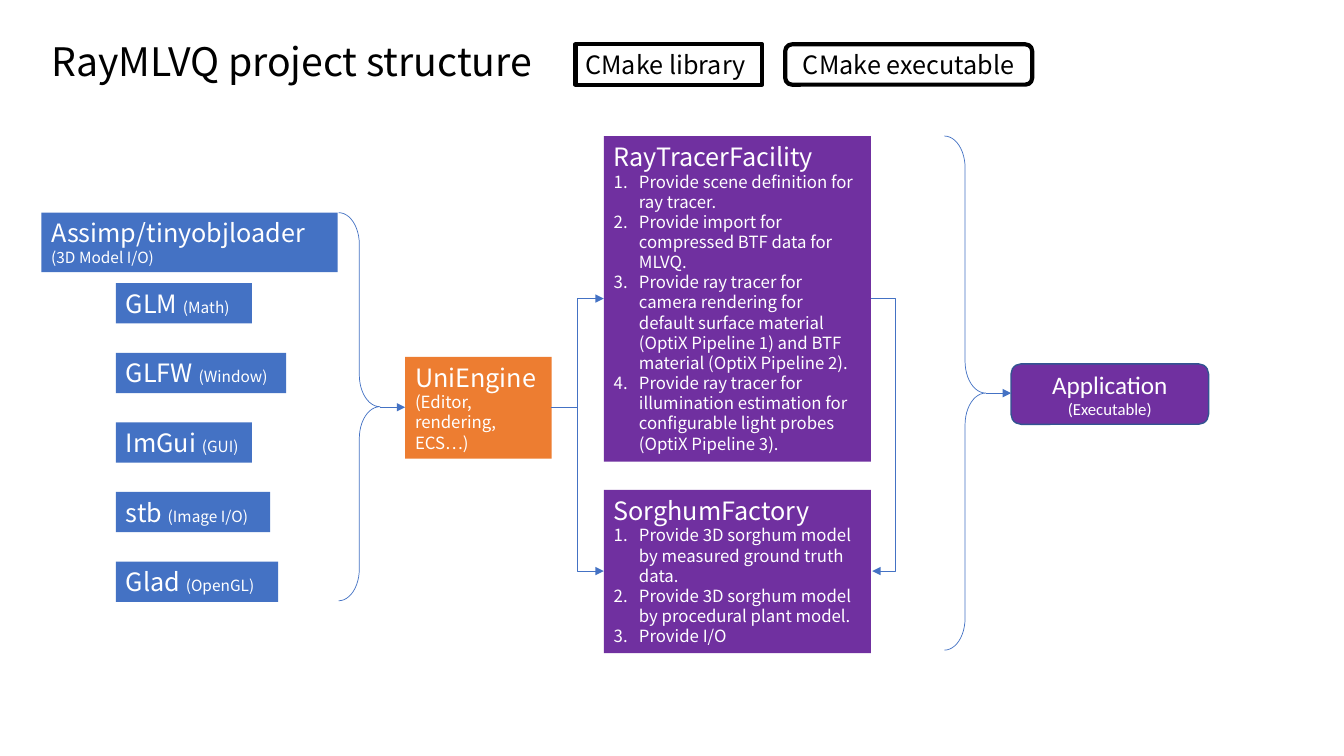
import dataclasses

import pptx
import pptx.dml.color
import pptx.enum.shapes
import pptx.enum.text
import pptx.oxml.ns
import pptx.util
from lxml import etree

Pt = pptx.util.Pt
SHAPE = pptx.enum.shapes.MSO_SHAPE
CONNECTOR = pptx.enum.shapes.MSO_CONNECTOR
ANCHOR = pptx.enum.text.MSO_ANCHOR
ALIGN = pptx.enum.text.PP_ALIGN
qn = pptx.oxml.ns.qn


@dataclasses.dataclass(frozen=True)
class Theme:
    """Fonts, colours, type sizes and line widths of the slide."""
    font: str = "Noto Sans CJK TC"
    application_font: str = "Calibri"
    blue: str = "4472C4"
    orange: str = "ED7D31"
    purple: str = "7030A0"
    edge: str = "325491"
    black: str = "000000"
    white: str = "FFFFFF"
    title: float = 28
    name: float = 18
    detail: float = 12
    note: float = 11
    thin: float = 0.5
    medium: float = 1
    thick: float = 3
    leading: float = 1.2
    indent: float = 18


def rgb(colour):
    """Turn a hex string into a colour."""
    return pptx.dml.color.RGBColor.from_string(colour)


class Diagram:
    """Draws styled elements on one slide; all lengths are in points."""

    def __init__(self, slide, theme):
        """Keep the slide and the theme."""
        self.slide = slide
        self.theme = theme

    def fill_text(self, frame, paragraphs, colour, font=None, align=ALIGN.LEFT,
                  anchor=ANCHOR.TOP, numbered=False):
        """Fill a frame with paragraphs, each a list of (text, size) runs."""
        frame.word_wrap = True
        frame.vertical_anchor = anchor
        frame.margin_left = frame.margin_right = Pt(7.2)
        frame.margin_top = frame.margin_bottom = Pt(3.6)
        for index, runs in enumerate(paragraphs):
            paragraph = frame.paragraphs[0] if index == 0 else frame.add_paragraph()
            paragraph.alignment = align
            paragraph.space_before = Pt(0)
            if font is None:
                largest = max(size for _, size in runs)
                paragraph.line_spacing = Pt(largest * self.theme.leading)
            for text, size in runs:
                run = paragraph.add_run()
                run.text = text
                run.font.size = Pt(size)
                run.font.name = font or self.theme.font
                run.font.color.rgb = rgb(colour)
            if numbered and index > 0:
                self.number(paragraph)

    def number(self, paragraph):
        """Give a paragraph a hanging automatic number."""
        properties = paragraph._p.get_or_add_pPr()
        properties.set("marL", str(Pt(self.theme.indent)))
        properties.set("indent", str(-Pt(self.theme.indent)))
        etree.SubElement(properties, qn("a:buAutoNum"), type="arabicPeriod")

    def title(self, text, left, top, width, height):
        """Place and format the title placeholder."""
        shape = self.slide.shapes.title
        shape.left, shape.top, shape.width, shape.height = map(
            Pt, (left, top, width, height))
        self.fill_text(shape.text_frame, [[(text, self.theme.title)]], self.theme.black)
        shape.text_frame.word_wrap = False
        shape.text_frame.auto_size = pptx.enum.text.MSO_AUTO_SIZE.NONE

    def box(self, bounds, fill, paragraphs, kind=SHAPE.RECTANGLE, line=None,
            line_width=1, colour=None, **text_style):
        """Draw a filled box with text."""
        shape = self.slide.shapes.add_shape(kind, *map(Pt, bounds))
        shape.shadow.inherit = False
        shape.fill.solid()
        shape.fill.fore_color.rgb = rgb(fill)
        if line:
            shape.line.color.rgb = rgb(line)
            shape.line.width = Pt(line_width)
        else:
            shape.line.fill.background()
        self.fill_text(shape.text_frame, paragraphs, colour or self.theme.white, **text_style)

    def facility(self, bounds, name, duties):
        """Draw a purple box with a name and a numbered list of duties."""
        paragraphs = [[(name, self.theme.name)]]
        paragraphs += [[(duty, self.theme.detail)] for duty in duties]
        self.box(bounds, self.theme.purple, paragraphs, numbered=True)

    def brace(self, left, top, width, height):
        """Draw a thin right brace."""
        shape = self.slide.shapes.add_shape(
            SHAPE.RIGHT_BRACE, *map(Pt, (left, top, width, height)))
        shape.shadow.inherit = False
        shape.adjustments[0] = 0.77
        shape.fill.background()
        shape.line.color.rgb = rgb(self.theme.blue)
        shape.line.width = Pt(self.theme.thin)

    def arrow(self, start, end, kind=CONNECTOR.STRAIGHT, bend=None):
        """Draw an arrow; bend is the turning place as a multiple of the width."""
        connector = self.slide.shapes.add_connector(kind, *map(Pt, (*start, *end)))
        connector.line.color.rgb = rgb(self.theme.blue)
        connector.line.width = Pt(self.theme.thin)
        properties = connector._element.spPr
        etree.SubElement(properties.find(qn("a:ln")), qn("a:tailEnd"), type="triangle")
        etree.SubElement(properties, qn("a:effectLst"))
        if bend is not None:
            geometry = properties.find(qn("a:prstGeom"))
            guides = geometry.find(qn("a:avLst"))
            if guides is None:
                guides = etree.SubElement(geometry, qn("a:avLst"))
            etree.SubElement(guides, qn("a:gd"), name="adj1", fmla=f"val {bend * 100000}")


def draw_legend(diagram):
    """Draw the two box kinds beside the title."""
    theme = diagram.theme
    outline = dict(line=theme.black, line_width=theme.thick, colour=theme.black)
    diagram.box((411.1, 31.7, 133.2, 28.8), theme.white,
                [[("CMake library ", theme.name)]], **outline)
    diagram.box((560.9, 31.7, 176.4, 28.8), theme.white,
                [[("CMake executable", theme.name)]], kind=SHAPE.ROUNDED_RECTANGLE,
                align=ALIGN.CENTER, anchor=ANCHOR.MIDDLE, **outline)


def draw_libraries(diagram):
    """Draw the column of third-party libraries and its brace."""
    theme = diagram.theme
    diagram.box((29.5, 151.9, 211.7, 42.5), theme.blue,
                [[("Assimp/tinyobjloader", theme.name)], [("(3D Model I/O)", theme.note)]])
    libraries = [("GLM ", "(Math)", 97.2), ("GLFW ", "(Window)", 121.7),
                 ("ImGui ", "(GUI)", 97.2), ("stb ", "(Image I/O)", 110.2),
                 ("Glad ", "(OpenGL)", 115.9)]
    for row, (name, purpose, width) in enumerate(libraries):
        diagram.box((82.8, 202.3 + 49.7 * row, width, 28.8), theme.blue,
                    [[(name, theme.name), (purpose, theme.note)]])
    diagram.brace(241.9, 151.9, 29.5, 277.2)


def draw_engine(diagram):
    """Draw the engine, the two facilities and the application."""
    theme = diagram.theme
    diagram.box((289.4, 254.9, 104.7, 72.7), theme.orange,
                [[("UniEngine ", theme.name)],
                 [("(Editor, rendering, ECS…)", theme.detail)]])
    diagram.facility((431.3, 97.2, 190.8, 232.6), "RayTracerFacility", [
        "Provide scene definition for ray tracer.",
        "Provide import for compressed BTF data for MLVQ.",
        "Provide ray tracer for camera rendering for default surface material "
        "(OptiX Pipeline 1) and BTF material (OptiX Pipeline 2).",
        "Provide ray tracer for illumination estimation for configurable light "
        "probes (OptiX Pipeline 3)."])
    diagram.facility((431.3, 349.9, 190.8, 116.6), "SorghumFactory", [
        "Provide 3D sorghum model by measured ground truth data.",
        "Provide 3D sorghum model by procedural plant model.",
        "Provide I/O"])
    diagram.brace(674.6, 97.2, 29.5, 367.2)
    diagram.box((722.2, 259.9, 141.1, 43.2), theme.purple,
                [[("Application", theme.name)], [("(Executable)", theme.detail)]],
                kind=SHAPE.ROUNDED_RECTANGLE, line=theme.edge, line_width=theme.medium,
                font=theme.application_font, align=ALIGN.CENTER, anchor=ANCHOR.MIDDLE)


def draw_arrows(diagram):
    """Connect braces, engine, facilities and application."""
    ray_tracer_middle, sorghum_middle = 213.3, 407.9
    diagram.arrow((271.4, 290.9), (289.4, 290.9))
    for middle in (ray_tracer_middle, sorghum_middle):
        diagram.arrow((393.8, 290.9), (431.3, middle), CONNECTOR.ELBOW)
    diagram.arrow((622, ray_tracer_middle), (623, sorghum_middle), CONNECTOR.ELBOW, bend=18)
    diagram.arrow((704.1, 280.8), (722.2, 280.8))


def main():
    """Build and save the presentation."""
    presentation = pptx.Presentation()
    presentation.slide_width, presentation.slide_height = Pt(960), Pt(540)
    slide = presentation.slides.add_slide(presentation.slide_layouts.get_by_name("Title Only"))
    diagram = Diagram(slide, Theme())
    diagram.title("RayMLVQ project structure", 29.5, 23, 369.4, 41)
    draw_legend(diagram)
    draw_libraries(diagram)
    draw_engine(diagram)
    draw_arrows(diagram)
    presentation.save("out.pptx")


main()
